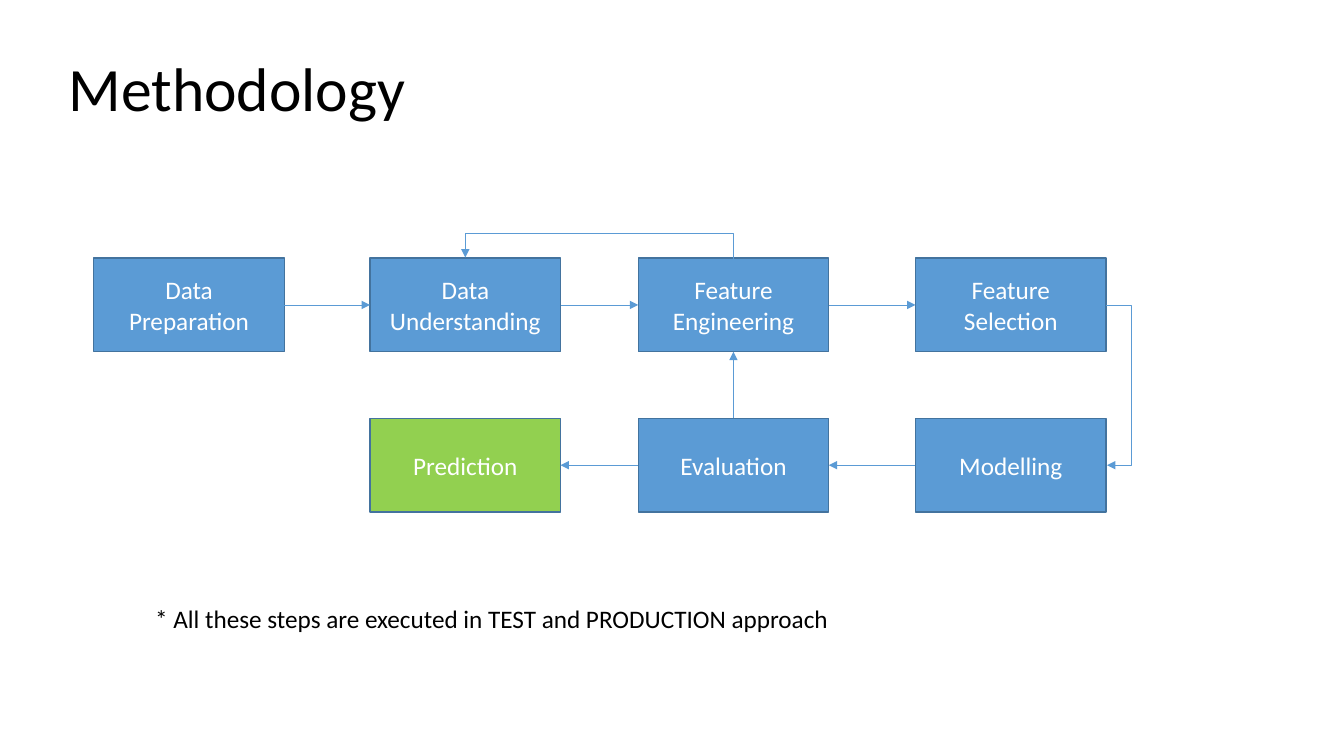
from dataclasses import dataclass

from lxml.etree import SubElement
from pptx import Presentation
from pptx.dml.color import RGBColor
from pptx.enum.shapes import MSO_CONNECTOR as Link, MSO_SHAPE as Preset
from pptx.enum.text import MSO_ANCHOR as Anchor, MSO_AUTO_SIZE as AutoSize, PP_ALIGN as Align
from pptx.oxml.ns import qn
from pptx.util import Inches, Pt

TITLE = "Methodology"
NOTE = "* All these steps are executed in TEST and PRODUCTION approach"
STEPS = {  # step: (column, row)
    "Data Preparation": (0, 0),
    "Data Understanding": (1, 0),
    "Feature Engineering": (2, 0),
    "Feature Selection": (3, 0),
    "Prediction": (1, 1),
    "Evaluation": (2, 1),
    "Modelling": (3, 1),
}
RESULT = "Prediction"
TOP, LEFT, BOTTOM, RIGHT = range(4)
ARROWS = [
    ("Data Preparation", RIGHT, "Data Understanding", LEFT),
    ("Data Understanding", RIGHT, "Feature Engineering", LEFT),
    ("Feature Engineering", RIGHT, "Feature Selection", LEFT),
    ("Modelling", LEFT, "Evaluation", RIGHT),
    ("Evaluation", LEFT, "Prediction", RIGHT),
    ("Evaluation", TOP, "Feature Engineering", BOTTOM),
]

SLIDE_SIZE = Inches(13.33), Inches(7.5)
COLUMNS = [Inches(x) for x in (0.93, 3.67, 6.33, 9.08)]
ROWS = [Inches(y) for y in (2.56, 4.15)]
BOX_SIZE = Inches(1.89), Inches(0.93)
TITLE_AREA = [Inches(n) for n in (0.58, 0.18, 11.5, 1.45)]
NOTE_AREA = [Inches(n) for n in (1.44, 5.94, 9.73, 0.4)]
REACH = Inches(0.25)  # how far an elbow stands off its boxes
DEPTH = Inches(0.01)  # offset between the two ends of an elbow


@dataclass(frozen=True)
class Theme:
    font: str = "Calibri"
    title_size: int = 44
    text_size: int = 18
    text: str = "000000"
    box_text: str = "FFFFFF"
    step: str = "5B9BD5"
    result: str = "92D050"
    border: str = "43739E"
    border_width: float = 1
    arrow_width: float = 0.5


THEME = Theme()


def write(shape, text, size, color, align, anchor):
    frame = shape.text_frame
    frame.word_wrap = True
    frame.vertical_anchor = anchor
    paragraph = frame.paragraphs[0]
    paragraph.alignment = align
    run = paragraph.add_run()
    run.text = text
    run.font.name = THEME.font
    run.font.size = Pt(size)
    run.font.color.rgb = RGBColor.from_string(color)
    return paragraph


def add_box(slide, step, column, row):
    box = slide.shapes.add_shape(Preset.RECTANGLE, COLUMNS[column], ROWS[row], *BOX_SIZE)
    box.shadow.inherit = False
    box.fill.solid()
    box.fill.fore_color.rgb = RGBColor.from_string(THEME.result if step == RESULT else THEME.step)
    box.line.color.rgb = RGBColor.from_string(THEME.border)
    box.line.width = Pt(THEME.border_width)
    write(box, step, THEME.text_size, THEME.box_text, Align.CENTER, Anchor.MIDDLE)
    return box


def add_arrow(slide, kind, *ends):
    arrow = slide.shapes.add_connector(kind, *ends)
    arrow.line.color.rgb = RGBColor.from_string(THEME.step)
    arrow.line.width = Pt(THEME.arrow_width)
    SubElement(arrow.get_or_add_ln(), qn("a:tailEnd"), type="triangle")
    SubElement(arrow.element.spPr, qn("a:effectLst"))
    return arrow


def add_elbow(slide, *ends, rotation=0):
    """Add an arrow that leaves by REACH, runs across and comes back."""
    elbow = add_arrow(slide, Link.ELBOW, *ends)
    properties = elbow.element.spPr
    properties.find(qn("a:xfrm")).set("rot", str(rotation * 60000))
    guides = properties.find(qn("a:prstGeom")).find(qn("a:avLst"))
    SubElement(guides, qn("a:gd"), name="adj1", fmla=f"val {100000 * REACH // DEPTH}")


def main():
    presentation = Presentation()
    presentation.slide_width, presentation.slide_height = SLIDE_SIZE
    slide = presentation.slides.add_slide(presentation.slide_layouts[5])

    title = slide.shapes.title
    title.left, title.top, title.width, title.height = TITLE_AREA
    heading = write(title, TITLE, THEME.title_size, THEME.text, Align.LEFT, Anchor.MIDDLE)
    heading.line_spacing = 0.9
    title.text_frame.auto_size = AutoSize.NONE

    boxes = {step: add_box(slide, step, *cell) for step, cell in STEPS.items()}
    for start, start_side, end, end_side in ARROWS:
        arrow = add_arrow(slide, Link.STRAIGHT, 0, 0, 0, 0)
        arrow.begin_connect(boxes[start], start_side)
        arrow.end_connect(boxes[end], end_side)

    width, height = BOX_SIZE
    right = COLUMNS[3] + width
    first, second = (top + height // 2 for top in ROWS)
    add_elbow(slide, right, first, right + DEPTH, second)

    # The loop back is drawn upright, then turned to lie above the first row
    middle = (COLUMNS[1] + COLUMNS[2] + width) // 2
    half = (COLUMNS[2] - COLUMNS[1]) // 2
    add_elbow(slide, middle - DEPTH // 2, ROWS[0] + half,
              middle + DEPTH // 2, ROWS[0] - half, rotation=270)

    note = slide.shapes.add_textbox(*NOTE_AREA)
    write(note, NOTE, THEME.text_size, THEME.text, Align.LEFT, Anchor.TOP)
    note.text_frame.auto_size = AutoSize.SHAPE_TO_FIT_TEXT

    presentation.save("out.pptx")


if __name__ == "__main__":
    main()
